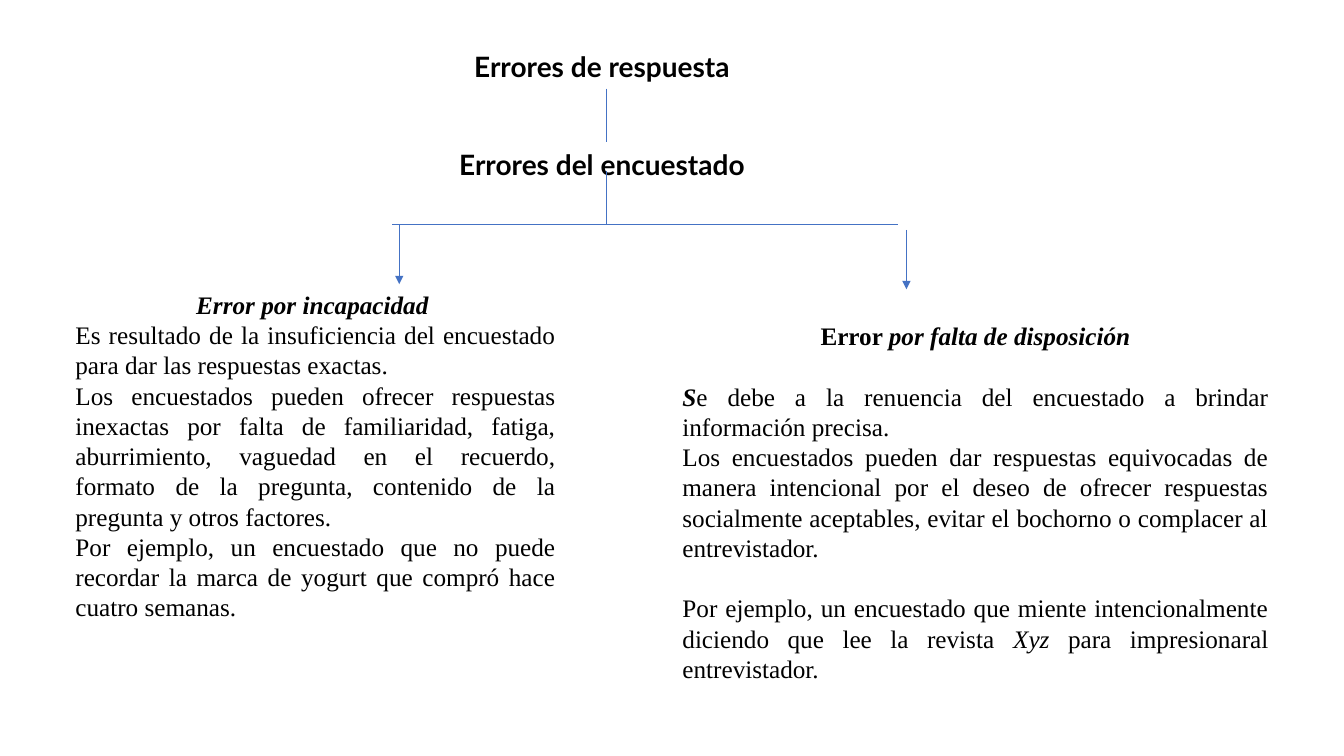
from pptx import Presentation
from pptx.dml.color import RGBColor
from pptx.enum.shapes import MSO_CONNECTOR
from pptx.enum.text import MSO_ANCHOR, MSO_AUTO_SIZE, PP_ALIGN
from pptx.oxml.ns import qn
from pptx.util import Inches, Pt
from lxml.etree import SubElement

# Content: each paragraph is (alignment, blank lines after, [(text, style)])
C, J = PP_ALIGN.CENTER, PP_ALIGN.JUSTIFY
HEADINGS = [  # text, top
    ("Errores de respuesta ", 0.44),
    ("Errores del encuestado ", 1.41),
]
INABILITY = [
    (C, 0, [("Error por incapacidad ", "bi")]),
    (J, 0, [("Es resultado de la insuficiencia del encuestado para dar las "
             "respuestas exactas. ", "")]),
    (J, 0, [("Los encuestados pueden ofrecer respuestas inexactas por falta de "
             "familiaridad, fatiga, aburrimiento, vaguedad en el recuerdo, formato "
             "de la pregunta, contenido de la pregunta y otros factores. ", "")]),
    (J, 0, [("Por ejemplo, un encuestado que no puede recordar la marca de yogurt "
             "que compró hace cuatro semanas.", "")]),
]
UNWILLINGNESS = [
    (C, 1, [("Error ", "b"), ("por falta de disposición", "bi")]),
    (J, 0, [("S", "bi"), ("e debe a la renuencia del encuestado a brindar "
                          "información precisa. ", "")]),
    (J, 1, [("Los encuestados pueden dar respuestas equivocadas de manera "
             "intencional por el deseo de ofrecer respuestas socialmente "
             "aceptables, evitar el bochorno o complacer al entrevistador. ", "")]),
    (J, 0, [("Por ejemplo, un encuestado que miente intencionalmente diciendo que "
             "lee la revista ", ""), ("Xyz ", "i"),
            ("para impresionaral entrevistador.", "")]),
]
COLUMNS = [  # left, top, width, height, paragraphs
    (0.65, 2.82, 4.96, 3.43, INABILITY),
    (6.67, 3.13, 6.01, 3.74, UNWILLINGNESS),
]
TRUNK_X, BRANCH_Y, DROP = 6.01, 2.23, 0.59
LINES = [  # x1, y1, x2, y2, arrow
    (TRUNK_X, 0.88, TRUNK_X, 1.41, False),
    (TRUNK_X, 1.7, TRUNK_X, BRANCH_Y, False),
    (3.89, BRANCH_Y, 8.91, BRANCH_Y, False),
    (3.96, BRANCH_Y, 3.96, BRANCH_Y + DROP, True),
    (8.99, 2.28, 8.99, 2.28 + DROP, True),
]
LINE_HEIGHT = Pt(21.6)


def color(value):
    return RGBColor.from_string(value)


def place(sp, left, top, width, height):
    sp.left, sp.top = Inches(left), Inches(top)
    sp.width, sp.height = Inches(width), Inches(height)
    tf = sp.text_frame
    tf.word_wrap = True
    tf.auto_size = MSO_AUTO_SIZE.SHAPE_TO_FIT_TEXT
    tf.vertical_anchor = MSO_ANCHOR.TOP
    return tf


def add_run(p, text, style, font, size):
    r = p.add_run()
    r.text = text
    r.font.name, r.font.size = font, Pt(size)
    r.font.bold, r.font.italic = "b" in style, "i" in style
    r.font.color.rgb = color("000000")


prs = Presentation()
prs.slide_width, prs.slide_height = Inches(13.33), Inches(7.5)
s = prs.slides.add_slide(prs.slide_layouts[5])

# Headings: the title and the level below it
boxes = [s.shapes.title, s.shapes.add_textbox(0, 0, 0, 0)]
for sp, (text, top) in zip(boxes, HEADINGS):
    p = place(sp, 2.98, top, 6.05, 0.44).paragraphs[0]
    p.alignment = C
    add_run(p, text, "b", "Lato", 20)

# Two explanatory columns
for left, top, width, height, paragraphs in COLUMNS:
    tf = place(s.shapes.add_textbox(0, 0, 0, 0), left, top, width, height)
    for i, (align, blank, runs) in enumerate(paragraphs):
        p = tf.add_paragraph() if i else tf.paragraphs[0]
        p.alignment = align
        p.line_spacing = LINE_HEIGHT
        p.space_after = LINE_HEIGHT * blank
        for text, style in runs:
            add_run(p, text, style, "Times New Roman", 18)

# Tree lines and arrows
for x1, y1, x2, y2, arrow in LINES:
    line = s.shapes.add_connector(MSO_CONNECTOR.STRAIGHT, Inches(x1), Inches(y1),
                                  Inches(x2), Inches(y2))
    line.line.color.rgb = color("4472C4")
    line.line.width = Pt(0.5)
    if arrow:
        SubElement(line.line._get_or_add_ln(), qn("a:tailEnd"), type="triangle")
    SubElement(line._element.spPr, qn("a:effectLst"))

prs.save("out.pptx")
